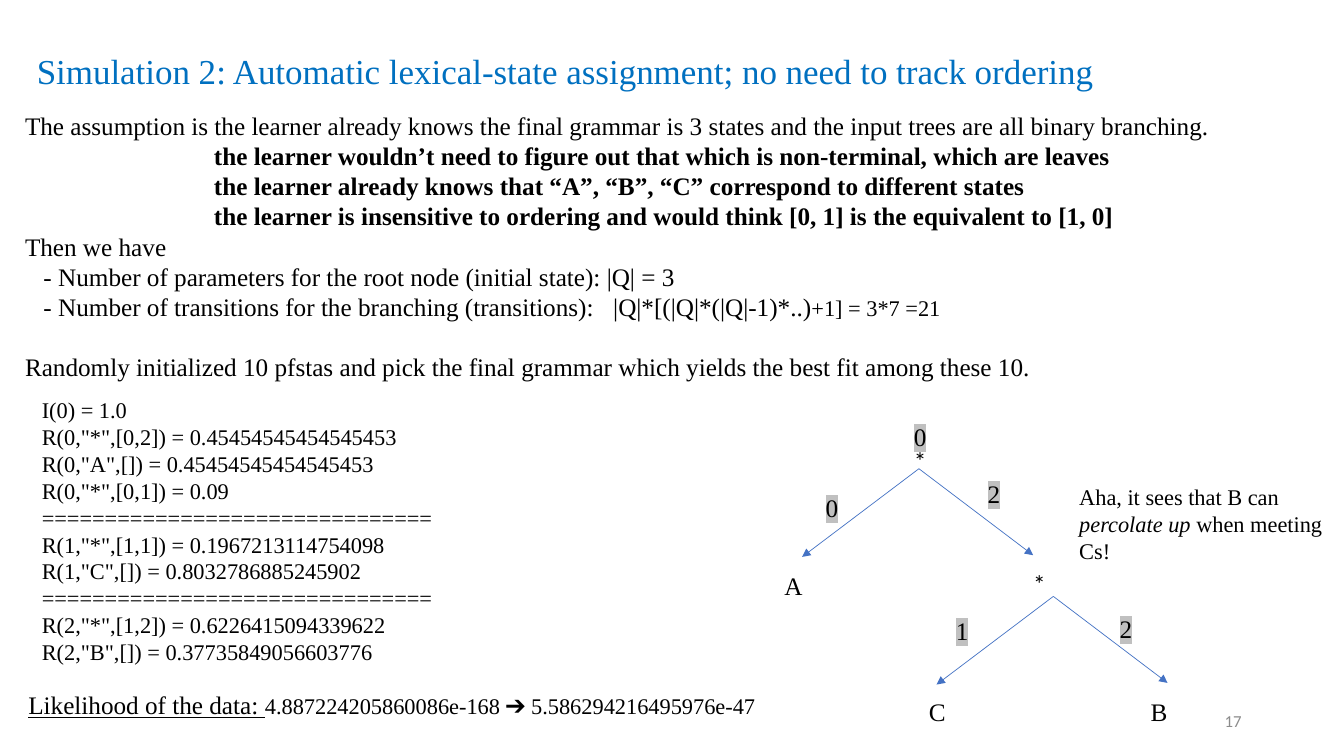
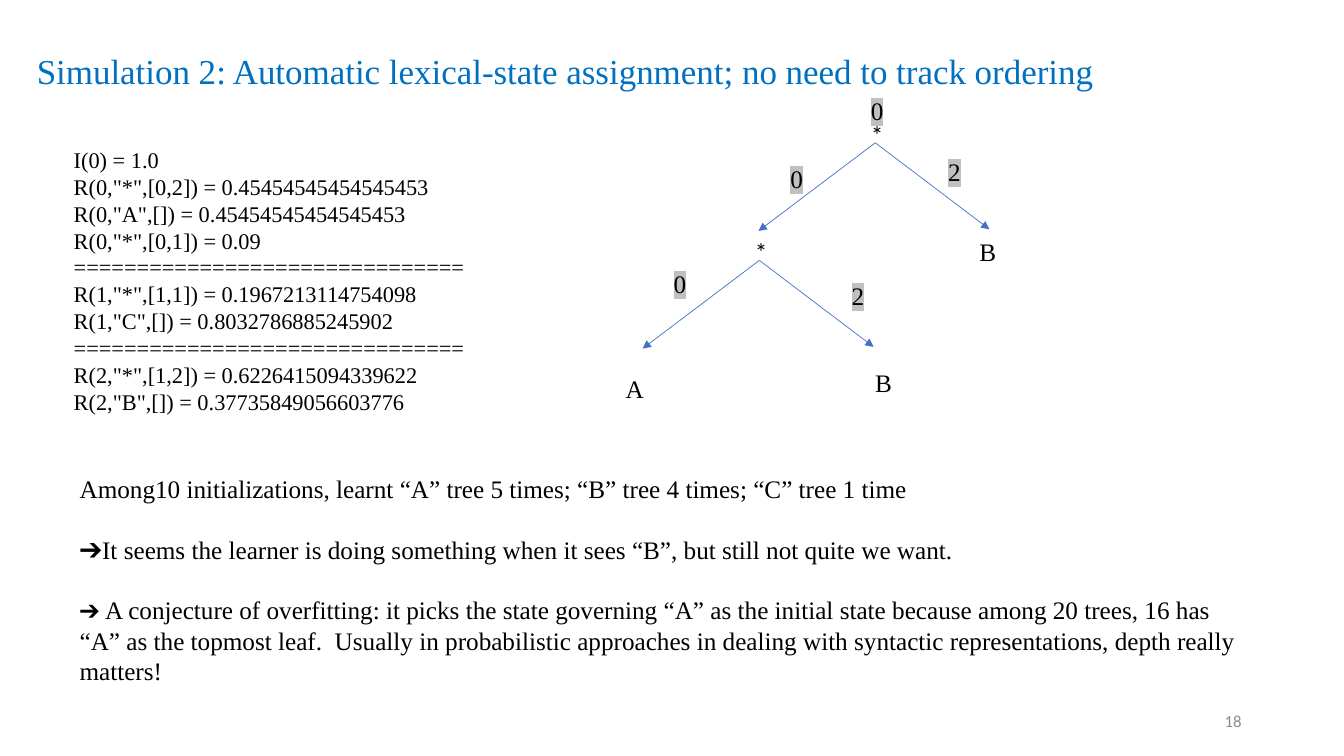
from pptx import Presentation
from pptx.dml.color import RGBColor
from pptx.enum.shapes import MSO_CONNECTOR
from pptx.enum.text import MSO_ANCHOR, PP_ALIGN
from pptx.oxml.ns import qn
from pptx.util import Inches, Pt
from lxml import etree

STRAIGHT = MSO_CONNECTOR.STRAIGHT
TOP, MIDDLE = MSO_ANCHOR.TOP, MSO_ANCHOR.MIDDLE
LEFT, RIGHT = PP_ALIGN.LEFT, PP_ALIGN.RIGHT

COLORS = {"title": "0070C0", "text": "000000", "branch": "4472C4",
          "state": "C0C0C0", "number": "8C8C8C"}
SERIF, SANS = "Times New Roman", "Calibri"

prs = Presentation()
prs.slide_width, prs.slide_height = Inches(13.333), Inches(7.5)
COLUMN = prs.slide_width / 160
ROW = prs.slide_height / 90
BLANK = prs.slide_layouts[6]


def add_text(slide, area, paragraphs, size=18, font=SERIF, color="text",
             anchor=TOP, align=LEFT, spacing=1.0, before=0):
    x, y, w, h = area
    frame = slide.shapes.add_textbox(int(x * COLUMN), int(y * ROW),
                                     int(w * COLUMN), int(h * ROW)).text_frame
    frame.word_wrap = True
    frame.vertical_anchor = anchor
    for index, (indent, runs) in enumerate(paragraphs):
        paragraph = frame.add_paragraph() if index else frame.paragraphs[0]
        paragraph.alignment = align
        paragraph.line_spacing = spacing
        paragraph.space_before = Pt(before if index else 0)
        paragraph._p.get_or_add_pPr().set("marL", str(int(indent * COLUMN)))
        for words, style in runs:
            run = paragraph.add_run()
            run.text = words
            run.font.size = Pt(style.get("size", size))
            run.font.bold = style.get("bold", False)
            run.font.italic = style.get("italic", False)
            run.font.underline = style.get("underline", False)
            run.font.color.rgb = RGBColor.from_string(COLORS[color])
            props = run._r.get_or_add_rPr()
            if "spread" in style:
                props.set("spc", str(style["spread"] * 100))
            if "highlight" in style:
                mark = etree.SubElement(props, qn("a:highlight"))
                etree.SubElement(mark, qn("a:srgbClr")).set("val", COLORS[style["highlight"]])
            run.font.name = font


def add_branch(slide, start, end):
    branch = slide.shapes.add_connector(
        STRAIGHT, int(start[0] * COLUMN), int(start[1] * ROW),
        int(end[0] * COLUMN), int(end[1] * ROW))
    branch.line.color.rgb = RGBColor.from_string(COLORS["branch"])
    branch.line.width = Pt(0.5)
    etree.SubElement(branch.line._get_or_add_ln(), qn("a:tailEnd")).set("type", "triangle")
    etree.SubElement(branch._element.spPr, qn("a:effectLst"))


TITLE = "Simulation 2: Automatic lexical-state assignment; no need to track ordering"
DIVIDER = "=" * 31
GRAMMAR = [
    "I(0) = 1.0",
    'R(0,"*",[0,2]) = 0.45454545454545453',
    'R(0,"A",[]) = 0.45454545454545453',
    'R(0,"*",[0,1]) = 0.09',
    DIVIDER,
    'R(1,"*",[1,1]) = 0.1967213114754098',
    'R(1,"C",[]) = 0.8032786885245902',
    DIVIDER,
    'R(2,"*",[1,2]) = 0.6226415094339622',
    'R(2,"B",[]) = 0.37735849056603776',
]
BRANCH_ENDS = [(-13.9, 10.5), (13.6, 10.3)]

PAGES = [
    {"number": "17", "grammar": (3.8, 46.6),
     "nodes": [(109.4, 55.8, -1.8, -3.4), (125.4, 71, -3.6, -3.9)],
     "states": [("0", 107.6, 49.6), ("0", 97.1, 58), ("2", 116.4, 56.3),
                ("1", 112.6, 72.7), ("2", 132.1, 72.4)],
     "leaves": [("A", 92.2, 67.3), ("C", 109.4, 82.3), ("B", 135.8, 82.3)]},
    {"number": "18", "grammar": (7.6, 16.8),
     "nodes": [(104.2, 17, -1.7, -3.4), (90.4, 31, -1.7, -3.4)],
     "states": [("0", 102.5, 10.7), ("0", 92.9, 18.8), ("0", 79, 31.4),
                ("2", 100.2, 32.8), ("2", 111.7, 18)],
     "leaves": [("A", 73.3, 43.8), ("B", 103, 43.1), ("B", 115.4, 27.6)]},
]

slides = []
for page in PAGES:
    slide = prs.slides.add_slide(BLANK)
    slides.append(slide)
    add_text(slide, (3.2, 0, 138, 17.4), [(0, [(TITLE, {})])],
             size=25, color="title", anchor=MIDDLE, spacing=0.9)
    add_text(slide, (*page["grammar"], 54, 37),
             [(0, [(rule, {})]) for rule in GRAMMAR], size=16)
    for x, y, star_x, star_y in page["nodes"]:
        for run_x, drop in BRANCH_ENDS:
            add_branch(slide, (x, y), (x + run_x, y + drop))
        add_text(slide, (x + star_x, y + star_y, 8, 4.8), [(0, [("*", {})])], font=SANS)
    for kind, style in (("leaves", {}), ("states", {"highlight": "state"})):
        for label, x, y in page[kind]:
            add_text(slide, (x, y, 8, 4.8), [(0, [(label, style)])])
    add_text(slide, (113, 83.4, 36, 4.8), [(0, [(page["number"], {})])],
             size=12, font=SANS, color="number", anchor=MIDDLE, align=RIGHT)

setup, findings = slides
BOLD, SMALL = {"bold": True}, {"size": 16}
KNOWN, COUNT = 22.5, 2.2

add_text(setup, (1.8, 12.5, 149, 26.6), [
    (0, [("The assumption is the learner already knows the final grammar is 3 states and the input trees are all binary branching.", {})]),
    (KNOWN, [("the learner wouldn’t need to figure out that which is non-terminal, which are leaves", BOLD)]),
    (KNOWN, [("the learner already knows that “A”, “B”, “C” correspond to different states", BOLD)]),
    (KNOWN, [("the learner is insensitive to ordering and would think [0, 1] is the equivalent to [1, 0]", BOLD)]),
    (0, [("Then we have", {})]),
    (COUNT, [("- Number of parameters for the root node (initial state): |Q| = 3", {})]),
    (COUNT, [("- Number of transitions for the branching (transitions):", {}),
             (" ", {"spread": 9}),
             ("|Q|*[(|Q|*(|Q|-1)*..)", {}),
             ("+1] = 3*7 =21", SMALL)]),
])
add_text(setup, (1.8, 41.2, 133, 4.8), [
    (0, [("Randomly initialized 10 pfstas and pick the final grammar which yields the best fit among these 10.", {})]),
])
add_text(setup, (127.3, 56.9, 32.7, 11), [
    (0, [("Aha, it sees that B can ", {}),
         ("percolate up ", {"italic": True}),
         ("when meeting Cs!", {})]),
], size=16)
add_text(setup, (2.2, 81.5, 102.6, 8.5), [
    (0, [("Likelihood of the data: ", {"underline": True}),
         ("4.887224205860086e-168 ➔ 5.586294216495976e-47", SMALL)]),
])

add_text(findings, (8.3, 55.8, 141.5, 26.6), [
    (0, [("Among10 initializations, learnt “A” tree 5 times; “B” tree 4 times; “C” tree 1 time", {})]),
    (0, [("➔It seems the learner is doing something when it sees “B”, but still not quite we want.", {})]),
    (0, [("➔ ", SMALL),
         ("A conjecture of overfitting: it picks the state governing “A” as the initial state because among 20 trees, 16 has “A” as the topmost leaf.  Usually in probabilistic approaches in dealing with syntactic representations, depth really matters!", {})]),
], before=21.6)

prs.save("out.pptx")
